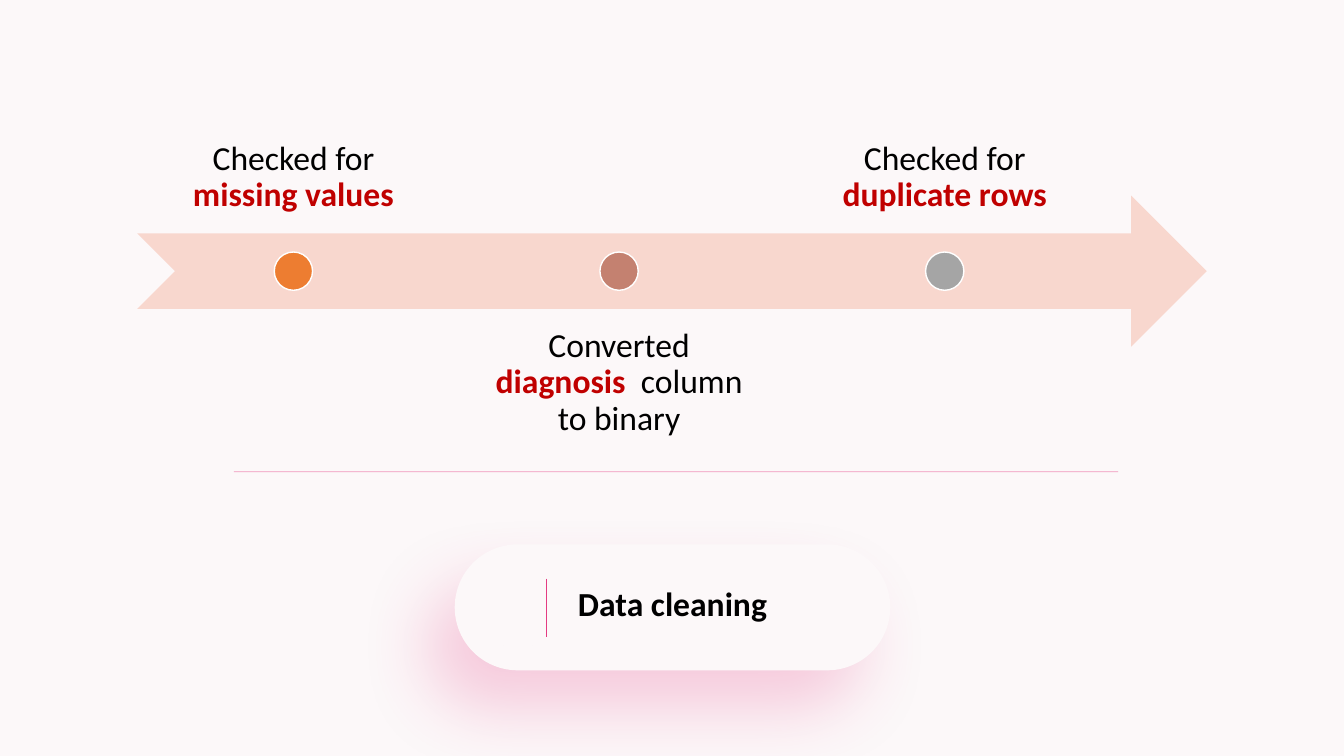
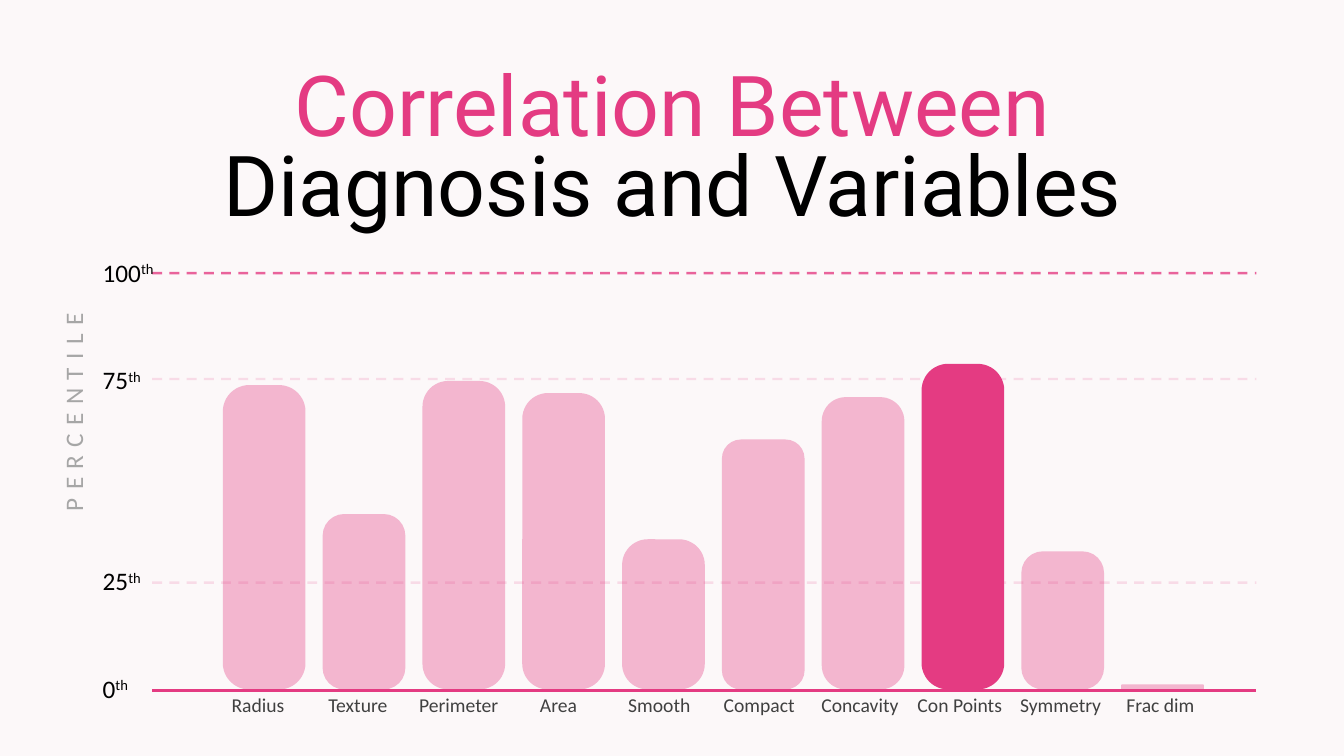
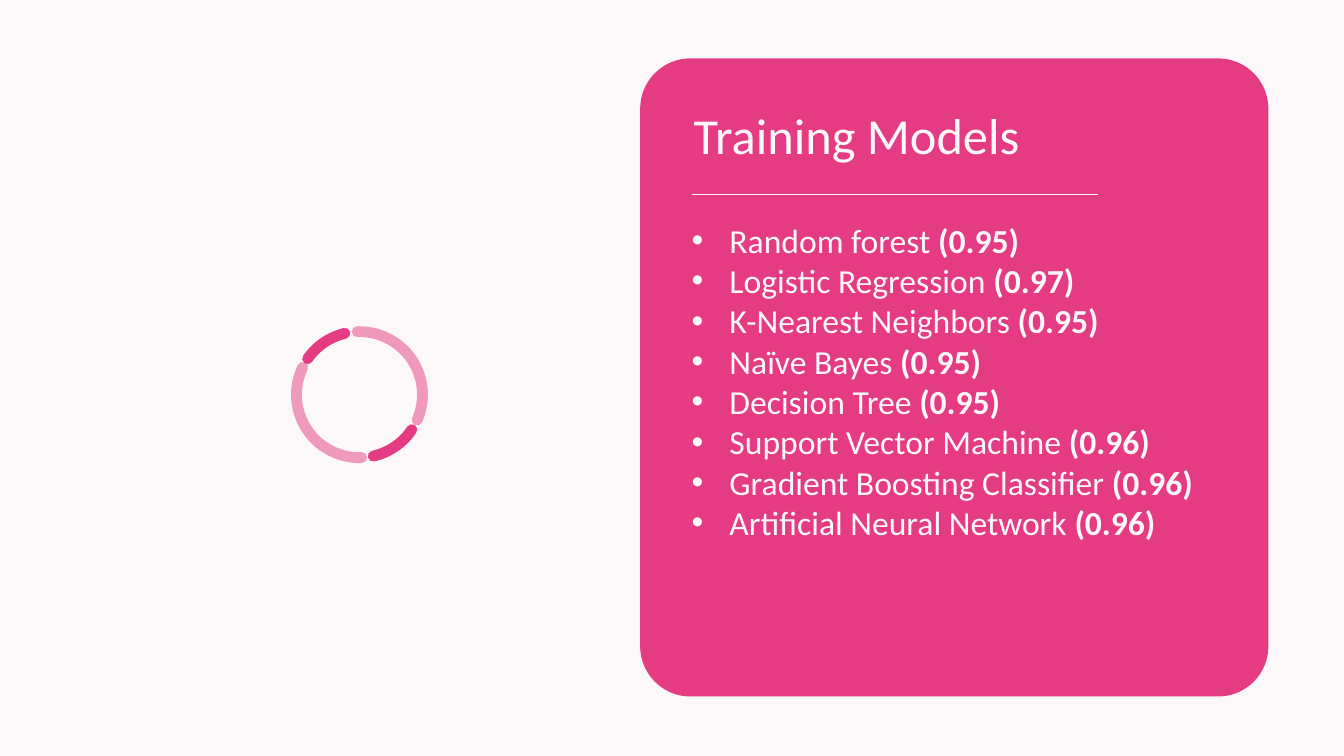
from dataclasses import dataclass, replace
from typing import Optional

from lxml.etree import SubElement
from pptx import Presentation
from pptx.dml.color import RGBColor
from pptx.enum.dml import MSO_LINE
from pptx.enum.shapes import MSO_CONNECTOR, MSO_SHAPE as Kind
from pptx.enum.text import MSO_ANCHOR as Anchor, MSO_AUTO_SIZE, PP_ALIGN as Align
from pptx.oxml.ns import qn
from pptx.util import Emu, Pt

PX = 9144  # 100 px to the inch
PINK, PALE, BLACK, RED = "E43B82", "FCF8F9", "000000", "C00000"
TITLE_ONLY, TITLE_BODY = 5, 1


@dataclass(frozen=True)
class Box:
    x: int
    y: int
    w: int
    h: int

    def emu(self) -> list[Emu]:
        return [Emu(n * PX) for n in (self.x, self.y, self.w, self.h)]


@dataclass(frozen=True)
class Style:
    size: int
    color: str = BLACK
    font: str = "Calibri"
    bold: bool = False
    align: Align = Align.CENTER
    lead: float = 1.0


@dataclass(frozen=True)
class Run:
    text: str
    bold: Optional[bool] = None
    color: str = ""
    base: int = 0  # raised by this percentage
    gap: int = 0  # letter spacing in points


@dataclass(frozen=True)
class Para:
    style: Style
    runs: tuple[Run, ...]


@dataclass(frozen=True)
class Step:
    runs: tuple[Run, ...]
    color: str
    above: bool


@dataclass(frozen=True)
class Bar:
    name: str
    top: int
    curve: float
    alpha: int = 35


@dataclass(frozen=True)
class Level:
    rank: str
    text_y: int
    rule_y: int
    alpha: int
    dash: bool = True


@dataclass(frozen=True)
class Arc:
    start: float
    end: float
    alpha: int


# Shared drawing tools

def tint(code: str) -> RGBColor:
    return RGBColor.from_string(code)


def paint(fill, color: str, alpha: int = 100) -> None:
    fill.solid()
    fill.fore_color.rgb = tint(color)
    if alpha < 100:
        shade = fill._xPr.find(qn("a:solidFill"))[0]
        SubElement(shade, qn("a:alpha")).set("val", str(alpha * 1000))


def effect(shape, glow: bool = False) -> None:
    """Drop the theme shadow, or put the soft pink one in its place."""
    effects = SubElement(shape._element.spPr, qn("a:effectLst"))
    if glow:
        cast = SubElement(effects, qn("a:outerShdw"), blurRad=str(Pt(50)),
                          dist=str(Pt(34)), dir=str(127 * 60000), rotWithShape="0")
        shade = SubElement(cast, qn("a:srgbClr"), val=PINK)
        SubElement(shade, qn("a:alpha"), val="24000")


def stroke(line, color: str, width: float, alpha: int = 100) -> None:
    paint(line.fill, color, alpha)
    line.width = Pt(width)


def draw(slide, kind: Kind, box: Box, fill: str = "", alpha: int = 100,
         edge: str = "", width: float = 1, curve: Optional[float] = None,
         glow: bool = False):
    shape = slide.shapes.add_shape(kind, *box.emu())
    if curve is not None:
        shape.adjustments[0] = curve
    if fill:
        paint(shape.fill, fill, alpha)
    else:
        shape.fill.background()
    if edge:
        stroke(shape.line, edge, width, alpha)
    else:
        shape.line.fill.background()
    effect(shape, glow)
    return shape


def rule(slide, x1: int, y1: int, x2: int, y2: int, color: str, width: float,
         alpha: int = 100, dash: bool = False, glow: bool = False) -> None:
    ends = [Emu(n * PX) for n in (x1, y1, x2, y2)]
    line = slide.shapes.add_connector(MSO_CONNECTOR.STRAIGHT, *ends)
    stroke(line.line, color, width, alpha)
    if dash:
        line.line.dash_style = MSO_LINE.DASH
    effect(line, glow)


def write(frame, paras: list[Para], anchor: Anchor = Anchor.TOP) -> None:
    frame.word_wrap = True
    frame.auto_size = MSO_AUTO_SIZE.NONE
    frame.vertical_anchor = anchor
    for i, para in enumerate(paras):
        line = frame.add_paragraph() if i else frame.paragraphs[0]
        style = para.style
        line.alignment = style.align
        line.line_spacing = style.lead
        line.space_before = Pt(0)
        line.font.name = style.font
        line.font.size = Pt(style.size)
        line.font.bold = style.bold
        line.font.color.rgb = tint(style.color)
        for part in para.runs:
            run = line.add_run()
            run.text = part.text
            if part.bold is not None:
                run.font.bold = part.bold
            if part.color:
                run.font.color.rgb = tint(part.color)
            props = run._r.get_or_add_rPr()
            if part.base:
                props.set("baseline", str(part.base * 1000))
            if part.gap:
                props.set("spc", str(part.gap * 100))


def label(slide, box: Box, style: Style, *runs: Run, anchor: Anchor = Anchor.TOP,
          inset: int = 0):
    text = slide.shapes.add_textbox(*box.emu())
    frame = text.text_frame
    if inset:
        frame.margin_left = frame.margin_right = Emu(inset * PX)
        frame.margin_top = frame.margin_bottom = Emu(inset * PX)
    write(frame, [Para(style, runs)], anchor)
    return text


def place(slide, holder, box: Box, paras: list[Para],
          anchor: Anchor = Anchor.TOP) -> None:
    """Move a placeholder into its box, in front of what is drawn so far."""
    holder.left, holder.top, holder.width, holder.height = box.emu()
    slide.shapes._spTree.append(holder._element)
    write(holder.text_frame, paras, anchor)


# Slide 1: timeline

STEPS = (
    Step((Run("Checked for "), Run("missing values", True, RED)), "ED7D31", True),
    Step((Run("Converted "), Run("diagnosis", True, RED), Run("  column to binary")),
         "C48170", False),
    Step((Run("Checked for "), Run("duplicate rows", True, RED)), "A5A5A5", True),
)


def cleaning(slide) -> None:
    pill = Box(451, 540, 432, 125)
    draw(slide, Kind.ROUNDED_RECTANGLE, pill, PALE, curve=0.5, glow=True)
    head = Style(24, bold=True, lead=0.8)
    place(slide, slide.shapes.title, pill, [Para(head, (Run("Data cleaning"),))],
          Anchor.MIDDLE)
    rule(slide, 542, 574, 542, 632, PINK, 1, glow=True)
    rule(slide, 232, 468, 1109, 468, PINK, 0.5, alpha=51)

    draw(slide, Kind.NOTCHED_RIGHT_ARROW, Box(136, 194, 1061, 150), "F8D7CE")
    for i, step in enumerate(STEPS):
        x = 137 + 323 * i
        label(slide, Box(x, 81 if step.above else 307, 308, 150),
              Style(24, lead=0.9), *step.runs, inset=19,
              anchor=Anchor.BOTTOM if step.above else Anchor.TOP)
        draw(slide, Kind.OVAL, Box(x + 135, 250, 38, 38), step.color, edge="FFFFFF")


# Slide 2: bars

BASE = 684
BARS = (
    Bar("Radius", 382, 0.32), Bar("Texture", 510, 0.26),
    Bar("Perimeter", 378, 0.31), Bar("Area", 390, 0.31),
    Bar("Smooth", 535, 0.31), Bar("Compact", 436, 0.23),
    Bar("Concavity", 394, 0.29), Bar("Con Points", 361, 0.32, 100),
    Bar("Symmetry", 547, 0.26), Bar("Frac dim", 679, 0.17),
)
LEVELS = (
    Level("0", 663, 685, 100, False), Level("100", 250, 271, 78),
    Level("75", 357, 376, 14), Level("25", 556, 578, 14),
)


def bars(slide) -> None:
    for i, bar in enumerate(BARS):
        draw(slide, Kind.ROUNDED_RECTANGLE,
             Box(221 + 99 * i, bar.top, 82, BASE - bar.top),
             PINK, bar.alpha, curve=bar.curve)
        label(slide, Box(196 + 199 * i // 2, 683, 120, 34), Style(14, "404040"),
              Run(bar.name))

    head = Style(60, PINK, "Roboto", lead=0.8)
    place(slide, slide.shapes.title, Box(30, 66, 1274, 172), [
        Para(head, (Run("Correlation Between"),)),
        Para(replace(head, color=BLACK), (Run("Diagnosis and Variables"),)),
    ])

    for level in LEVELS:
        rule(slide, 151, level.rule_y, 1246, level.rule_y, PINK, 1.75,
             level.alpha, level.dash)
        label(slide, Box(92, level.text_y, 85, 40), Style(18, align=Align.LEFT),
              Run(level.rank), Run("th", base=30))
    axis = label(slide, Box(-99, 389, 343, 40), Style(18, "A6A6A6"),
                 Run("PERCENTILE", gap=6))
    axis.rotation = 270


# Slide 3: models and ring

MODELS = (
    ("Random forest", "0.95"), ("Logistic Regression", "0.97"),
    ("K-Nearest Neighbors", "0.95"), ("Naïve Bayes", "0.95"),
    ("Decision Tree", "0.95"), ("Support Vector Machine", "0.96"),
    ("Gradient Boosting Classifier", "0.96"), ("Artificial Neural Network", "0.96"),
)
ARCS = (
    Arc(214.66, 256.67, 100), Arc(88.03, 205.76, 50),
    Arc(33.72, 77.36, 100), Arc(267.86, 23.92, 50),
)


def models(slide) -> None:
    draw(slide, Kind.ROUNDED_RECTANGLE, Box(635, 58, 623, 633), PINK, curve=0.08)
    rule(slide, 686, 193, 1089, 193, PALE, 0.5)
    head = Style(36, PALE, align=Align.LEFT)
    place(slide, slide.shapes.title, Box(678, 98, 400, 71),
          [Para(head, (Run("Training Models"),))])
    item = replace(head, size=24)
    place(slide, slide.placeholders[1], Box(676, 213, 559, 333),
          [Para(item, (Run(f"{name} "), Run(f"({score})", True)))
           for name, score in MODELS])

    for arc in ARCS:
        ring = draw(slide, Kind.ARC, Box(294, 329, 125, 125), alpha=arc.alpha,
                    edge=PINK, width=7.75)
        for i, angle in enumerate((arc.start, arc.end)):
            ring.adjustments[i] = angle * 0.6  # degrees to shape units
        ring.line._get_or_add_ln().set("cap", "rnd")


def main() -> None:
    deck = Presentation()
    deck.slide_width, deck.slide_height = Emu(1333 * PX), Emu(750 * PX)
    paint(deck.slide_master.background.fill, PALE)
    for layout, build in ((TITLE_ONLY, cleaning), (TITLE_ONLY, bars),
                          (TITLE_BODY, models)):
        build(deck.slides.add_slide(deck.slide_layouts[layout]))
    deck.save("out.pptx")


if __name__ == "__main__":
    main()
